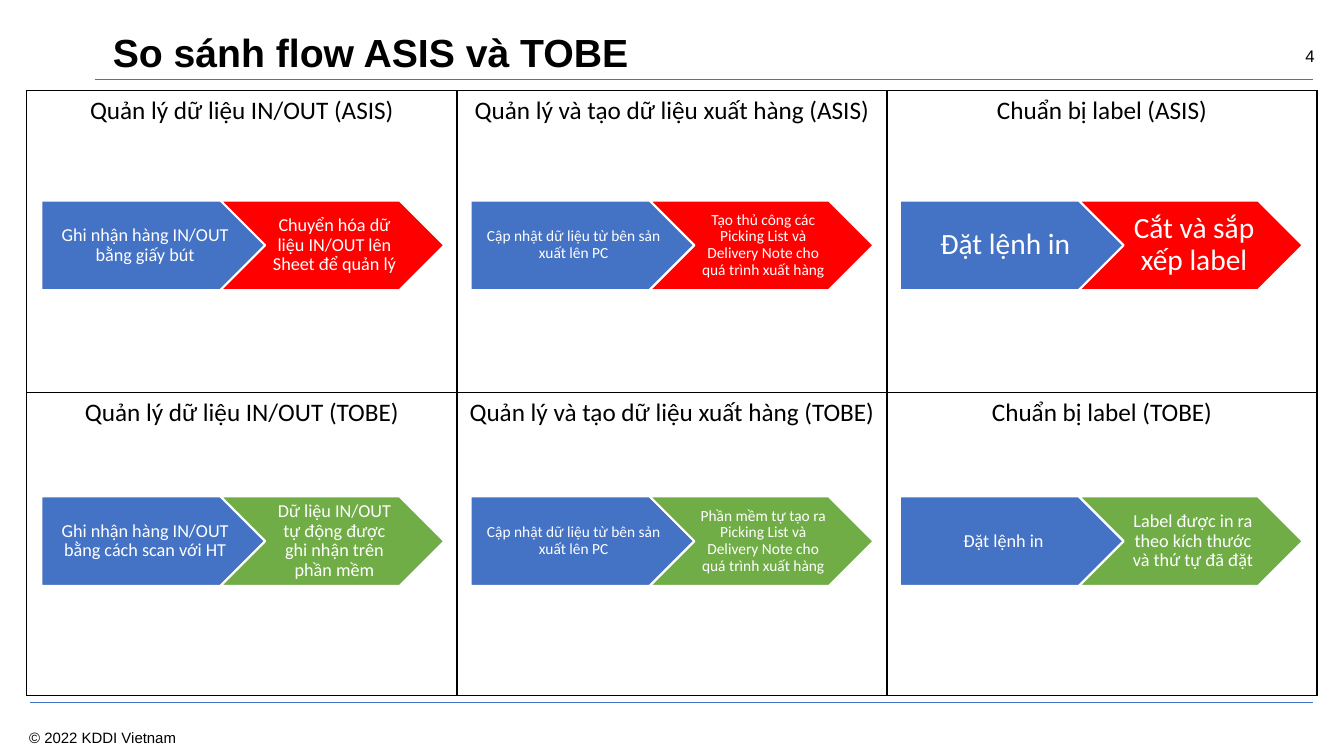
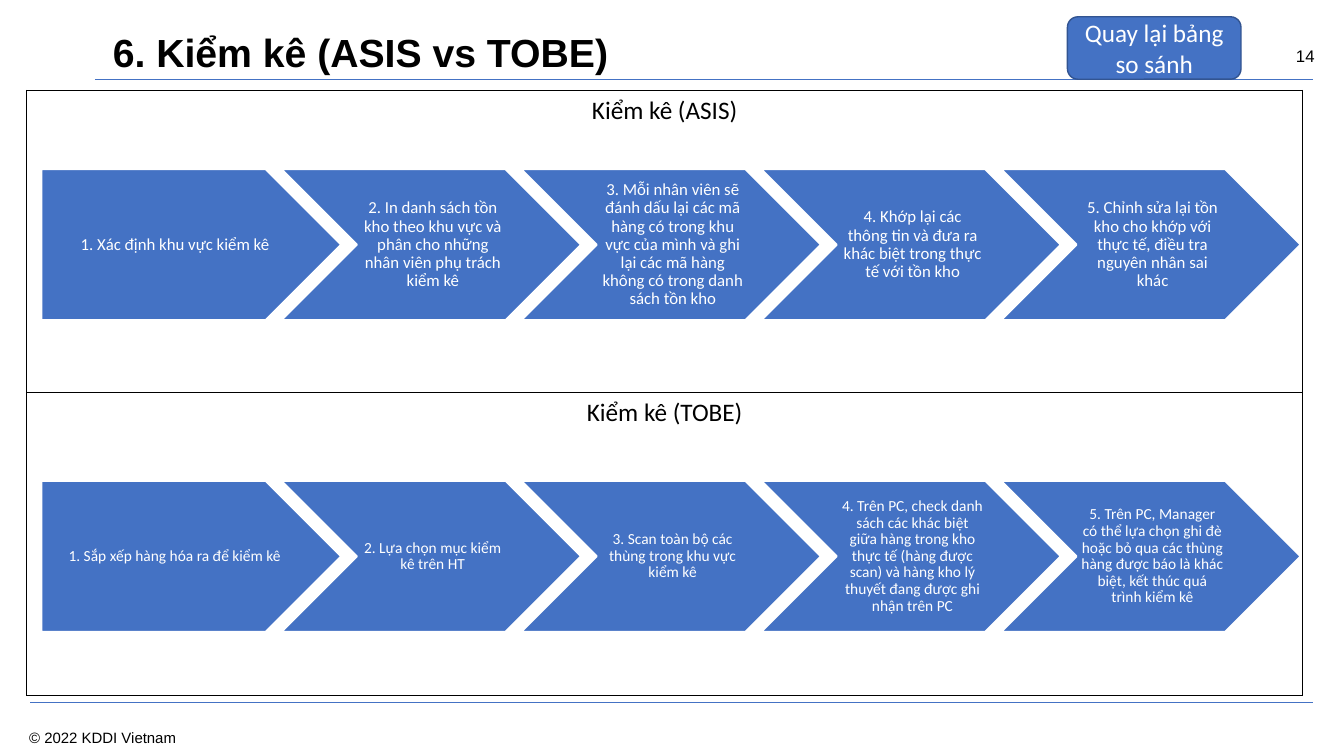
import lxml.etree
import pptx
import pptx.dml.color
import pptx.enum.shapes
import pptx.enum.text
import pptx.oxml.ns
import pptx.util

Pt = pptx.util.Pt
qn = pptx.oxml.ns.qn
Align = pptx.enum.text.PP_ALIGN
Anchor = pptx.enum.text.MSO_ANCHOR
Preset = pptx.enum.shapes.MSO_SHAPE

BLUE, DARK_BLUE, RED, GREEN = "4472C4", "325491", "FF0000", "70AD47"
BLACK, WHITE = "000000", "FFFFFF"


def color(hex_text):
    return pptx.dml.color.RGBColor.from_string(hex_text)


def write_text(frame, text, size=18, font="Calibri", fill=BLACK, bold=False,
               align=Align.CENTER, anchor=None, spacing=None, margins=None):
    """Fill a text frame with one paragraph; margins are left, top, right, bottom."""
    frame.word_wrap = True
    if anchor is not None:
        frame.vertical_anchor = anchor
    if margins is not None:
        (frame.margin_left, frame.margin_top,
         frame.margin_right, frame.margin_bottom) = map(Pt, margins)
    paragraph = frame.paragraphs[0]
    paragraph.alignment = align
    if spacing is not None:
        paragraph.line_spacing = spacing
    run = paragraph.add_run()
    run.text = text
    run.font.name = font
    run.font.size = Pt(size)
    run.font.bold = bold
    run.font.color.rgb = color(fill)


def border_cell(cell, fill=BLACK, width=1):
    properties = cell._tc.get_or_add_tcPr()
    for index, side in enumerate(("a:lnL", "a:lnR", "a:lnT", "a:lnB")):
        line = lxml.etree.Element(qn(side), w=str(Pt(width)))
        solid = lxml.etree.SubElement(line, qn("a:solidFill"))
        lxml.etree.SubElement(solid, qn("a:srgbClr"), val=fill)
        properties.insert(index, line)


class Deck:
    """Holds the presentation, its common style and the current slide."""

    def __init__(self):
        self.presentation = pptx.Presentation()
        self.presentation.slide_width = Pt(960)
        self.presentation.slide_height = Pt(540)
        self.slide = None

    def add_slide(self, title, number):
        layout = self.presentation.slide_layouts[5]
        self.slide = self.presentation.slides.add_slide(layout)
        self.line(67.7, 938.2, 56.9, 1)
        self.line(21.6, 938.2, 501.8, 0.7)
        self.label(str(number), 899, 32.5, 40, 14.4, 12, Align.RIGHT)
        self.label("© 2022 KDDI Vietnam", 20.9, 520.2, 150, 13, 10.7, Align.LEFT)
        self.title(title)

    def title(self, text):
        shape = self.slide.shapes.title
        shape.left, shape.top, shape.width, shape.height = map(Pt, (73.4, 20.9, 856.8, 36))
        shape.text_frame.auto_size = pptx.enum.text.MSO_AUTO_SIZE.NONE
        write_text(shape.text_frame, text, size=28, font="Arial", bold=True,
                   align=Align.LEFT, anchor=Anchor.MIDDLE, spacing=0.9)

    def line(self, left, right, top, width):
        connector = self.slide.shapes.add_connector(
            pptx.enum.shapes.MSO_CONNECTOR.STRAIGHT, Pt(left), Pt(top), Pt(right), Pt(top))
        connector.line.color.rgb = color(BLUE)
        connector.line.width = Pt(width)
        lxml.etree.SubElement(connector._element.spPr, qn("a:effectLst"))

    def label(self, text, left, top, width, height, size, align):
        box = self.slide.shapes.add_textbox(*map(Pt, (left, top, width, height)))
        write_text(box.text_frame, text, size=size, font="Arial", align=align,
                   margins=(0, 0, 0, 0))

    def shape(self, preset, left, top, width, height, fill, outline, outline_width):
        shape = self.slide.shapes.add_shape(preset, *map(Pt, (left, top, width, height)))
        shape.shadow.inherit = False
        shape.fill.solid()
        shape.fill.fore_color.rgb = color(fill)
        shape.line.color.rgb = color(outline)
        shape.line.width = Pt(outline_width)
        return shape

    def button(self, text, left, top, width, height):
        shape = self.shape(Preset.ROUNDED_RECTANGLE, left, top, width, height,
                           BLUE, DARK_BLUE, 1)
        write_text(shape.text_frame, text, fill=WHITE, anchor=Anchor.MIDDLE)

    def table(self, rows, width):
        row_height = 216
        frame = self.slide.shapes.add_table(
            len(rows), len(rows[0]), Pt(19.2), Pt(64.6), Pt(width), Pt(row_height * len(rows)))
        table = frame.table
        table.first_row = table.horz_banding = False
        for row, texts in zip(table.rows, rows):
            row.height = Pt(row_height)
            for cell, text in zip(row.cells, texts):
                cell.fill.background()
                border_cell(cell)
                write_text(cell.text_frame, text)

    def flow(self, steps, left, top, width, height, size, fills):
        """Draw a pentagon followed by chevrons, each overlapping the one before by a fifth."""
        for index, (text, fill) in enumerate(zip(steps, fills)):
            preset = Preset.CHEVRON if index else Preset.PENTAGON
            shape = self.shape(preset, left + index * 0.8 * width, top, width, height,
                               fill, WHITE, 1.5)
            left_margin = 0.31 if index else 0.42
            margins = [size * part for part in (left_margin, 0.21, 0.1, 0.21)]
            write_text(shape.text_frame, text, size=size, fill=WHITE, anchor=Anchor.MIDDLE,
                       spacing=0.9, margins=margins)


def build_comparison(deck):
    deck.add_slide("So sánh flow ASIS và TOBE", 4)
    topics = ("Quản lý dữ liệu IN/OUT", "Quản lý và tạo dữ liệu xuất hàng", "Chuẩn bị label")
    deck.table([[f"{topic} ({state})" for topic in topics] for state in ("ASIS", "TOBE")], 921.6)
    update = "Cập nhật dữ liệu từ bên sản xuất lên PC"
    rows = (
        (143.2, RED, (
            (13, "Ghi nhận hàng IN/OUT bằng giấy bút",
             "Chuyển hóa dữ liệu IN/OUT lên Sheet để quản lý"),
            (11, update,
             "Tạo thủ công các Picking List và Delivery Note cho quá trình xuất hàng"),
            (21, "Đặt lệnh in", "Cắt và sắp xếp label"))),
        (354.6, GREEN, (
            (13, "Ghi nhận hàng IN/OUT bằng cách scan với HT",
             "Dữ liệu IN/OUT tự động được ghi nhận trên phần mềm"),
            (11, update,
             "Phần mềm tự tạo ra Picking List và Delivery Note cho quá trình xuất hàng"),
            (13, "Đặt lệnh in", "Label được in ra theo kích thước và thứ tự đã đặt"))),
    )
    for top, result_fill, flows in rows:
        for column, (size, *steps) in enumerate(flows):
            deck.flow(steps, 29.5 + column * 306.6, top, 160, 64, size, (BLUE, result_fill))


def build_stocktake(deck):
    deck.add_slide("6. Kiểm kê (ASIS vs TOBE)", 14)
    deck.button("Quay lại bảng so sánh", 762.5, 12, 124, 44.6)
    deck.table([["Kiểm kê (ASIS)"], ["Kiểm kê (TOBE)"]], 911.2)
    flows = (
        (120.8, 12, (
            "1. Xác định khu vực kiểm kê",
            "2. In danh sách tồn kho theo khu vực và phân cho những nhân viên phụ trách kiểm kê",
            "3. Mỗi nhân viên sẽ đánh dấu lại các mã hàng có trong khu vực của mình và ghi lại "
            "các mã hàng không có trong danh sách tồn kho",
            "4. Khớp lại các thông tin và đưa ra khác biệt trong thực tế với tồn kho",
            "5. Chỉnh sửa lại tồn kho cho khớp với thực tế, điều tra nguyên nhân sai khác")),
        (343.4, 11, (
            "1. Sắp xếp hàng hóa ra để kiểm kê",
            "2. Lựa chọn mục kiểm kê trên HT",
            "3. Scan toàn bộ các thùng trong khu vực kiểm kê",
            "4. Trên PC, check danh sách các khác biệt giữa hàng trong kho thực tế (hàng được "
            "scan) và hàng kho lý thuyết đang được ghi nhận trên PC",
            "5. Trên PC, Manager có thể lựa chọn ghi đè hoặc bỏ qua các thùng hàng được báo là "
            "khác biệt, kết thúc quá trình kiểm kê")),
    )
    for top, size, steps in flows:
        deck.flow(steps, 29.5, top, 214.2, 108, size, [BLUE] * len(steps))


def main():
    deck = Deck()
    build_comparison(deck)
    build_stocktake(deck)
    deck.presentation.save("out.pptx")


if __name__ == "__main__":
    main()
